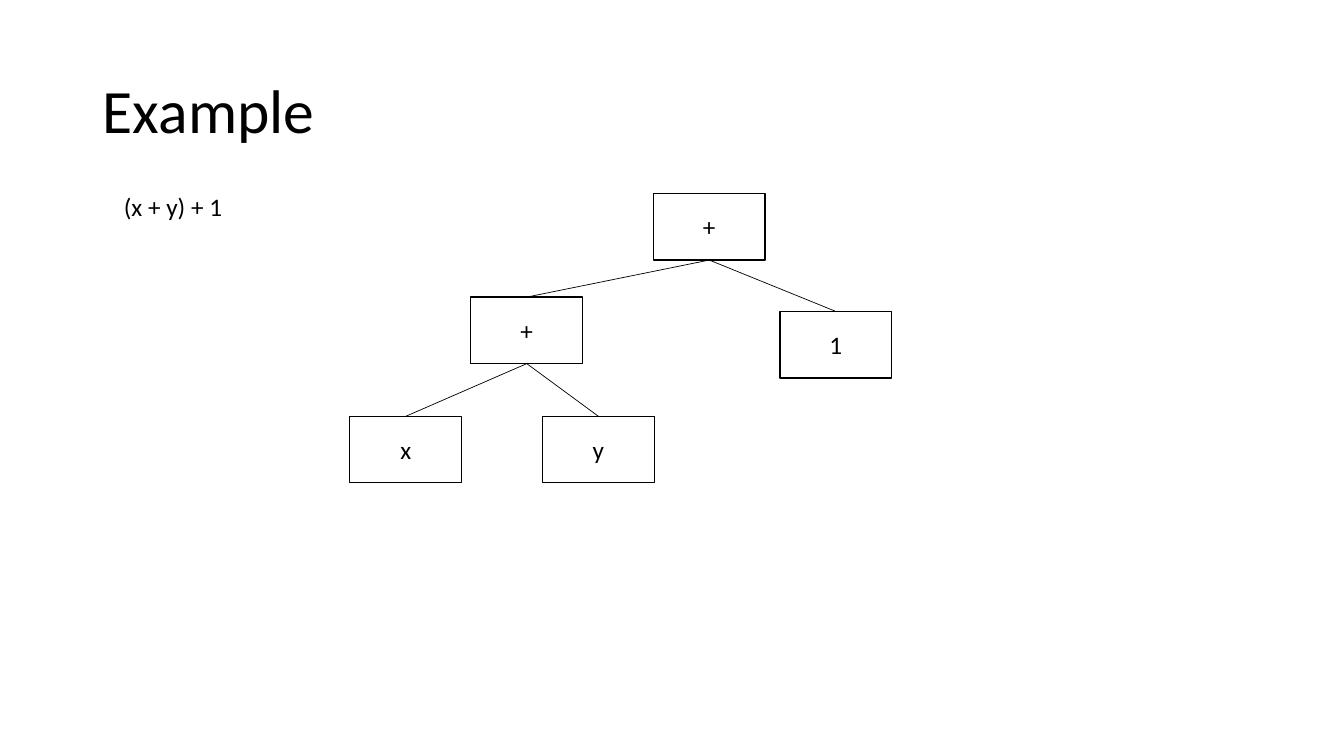
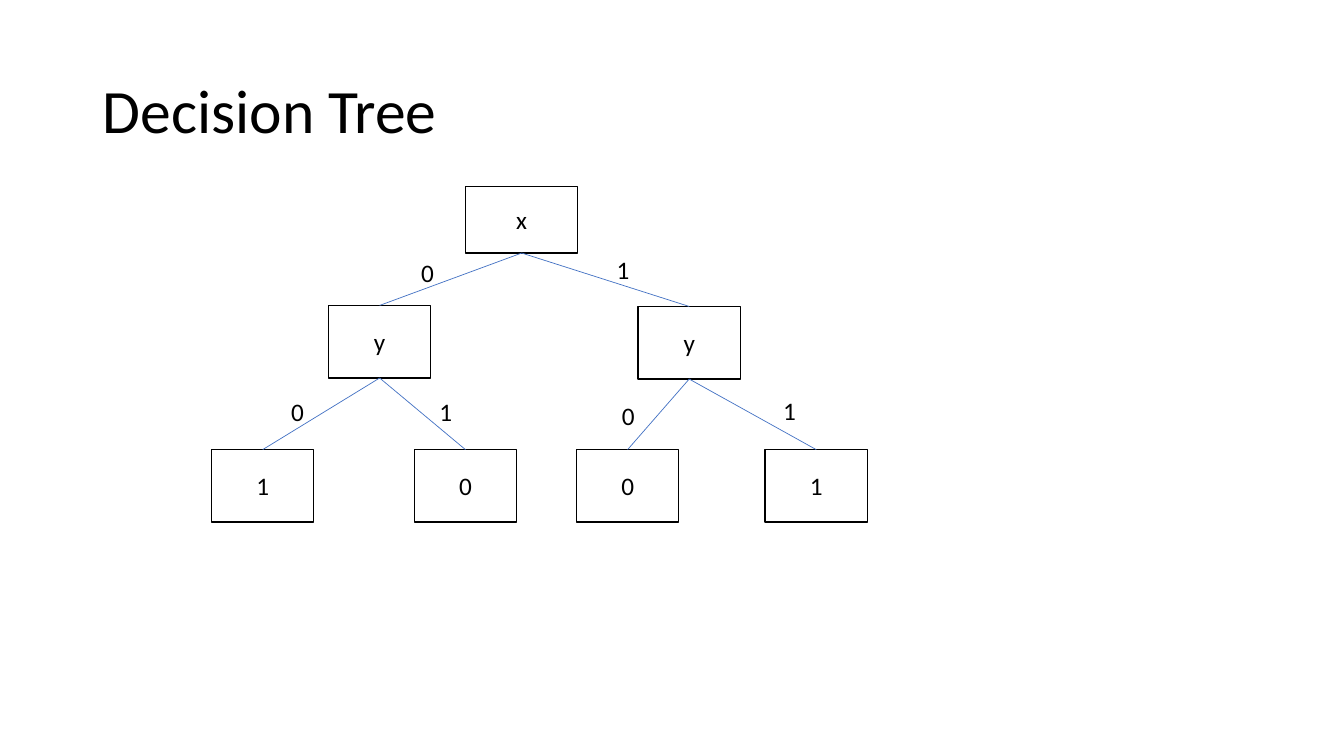
from dataclasses import dataclass

from lxml.etree import SubElement
from pptx import Presentation
from pptx.dml.color import RGBColor
from pptx.enum.shapes import MSO_CONNECTOR, MSO_SHAPE
from pptx.enum.text import MSO_ANCHOR, MSO_AUTO_SIZE, PP_ALIGN
from pptx.oxml.ns import qn
from pptx.util import Inches, Pt

SLIDE_WIDTH, SLIDE_HEIGHT = Inches(13.33), Inches(7.5)
BOTTOM, TOP = 2, 0  # connection sites of a rectangle
TITLE_ONLY_LAYOUT = 5


@dataclass(frozen=True)
class Theme:
    font: str = "Calibri"
    ink: RGBColor = RGBColor(0, 0, 0)
    accent: RGBColor = RGBColor(0x44, 0x72, 0xC4)
    title_size: int = 44
    text_size: int = 18
    outline: float = 1
    branch: float = 0.5


THEME = Theme()


@dataclass(frozen=True)
class Box:
    """A region in percent of the slide's width and height."""
    left: float
    top: float
    width: float
    height: float

    def inside(self, left, top, size):
        """Return a box placed relative to this box's corner."""
        return Box(self.left + left, self.top + top, *size)

    def lengths(self):
        return (
            round(SLIDE_WIDTH * self.left / 100),
            round(SLIDE_HEIGHT * self.top / 100),
            round(SLIDE_WIDTH * self.width / 100),
            round(SLIDE_HEIGHT * self.height / 100),
        )


TITLE_BOX = Box(6.9, 5.33, 86.25, 19.33)
EXPRESSION_BOX = Box(8.48, 24.67, 8.93, 5.33)
EXPRESSION_TREE_BOX = Box(26.03, 25.6, 40.33, 38.27)
DECISION_TREE_BOX = Box(15.75, 24.67, 48.78, 44.4)

WIDE_NODE = (8.33, 8.8)
TALL_NODE = (7.6, 9.6)
LABEL_SIZE = (2.48, 5.33)


@dataclass(frozen=True)
class Node:
    """A tree node; label_at places the text of the branch that leads to it."""
    text: str
    left: float
    top: float
    size: tuple = WIDE_NODE
    children: tuple = ()
    label: str = ""
    label_at: tuple = ()


EXPRESSION_TREE = Node("+", 22.58, 0, children=(
    Node("+", 9, 13.7, children=(
        Node("x", 0, 29.47),
        Node("y", 14.33, 29.47),
    )),
    Node("1", 32, 15.6),
))

DECISION_TREE = Node("x", 18.9, 0, children=(
    Node("y", 8.7, 15.73, TALL_NODE, label="0", label_at=(14.85, 8.67), children=(
        Node("1", 0, 34.8, TALL_NODE, label="0", label_at=(5.18, 27.07)),
        Node("0", 15.08, 34.8, TALL_NODE, label="1", label_at=(16.2, 27.07)),
    )),
    Node("y", 31.73, 15.87, TALL_NODE, label="1", label_at=(29.4, 8.27), children=(
        Node("0", 27.15, 34.8, TALL_NODE, label="0", label_at=(29.78, 27.6)),
        Node("1", 41.18, 34.8, TALL_NODE, label="1", label_at=(41.78, 26.93)),
    )),
))


def write_text(shape, text, size=THEME.text_size, color=THEME.ink, align=PP_ALIGN.LEFT,
               anchor=MSO_ANCHOR.TOP, spacing=1.0, wrap=True, fit=MSO_AUTO_SIZE.NONE):
    frame = shape.text_frame
    frame.word_wrap = wrap
    frame.auto_size = fit
    frame.vertical_anchor = anchor
    paragraph = frame.paragraphs[0]
    paragraph.alignment = align
    paragraph.line_spacing = spacing
    run = paragraph.add_run()
    run.text = text
    run.font.name = THEME.font
    run.font.size = Pt(size)
    run.font.color.rgb = color


def add_titled_slide(presentation, title):
    slide = presentation.slides.add_slide(presentation.slide_layouts[TITLE_ONLY_LAYOUT])
    shape = slide.shapes.title
    shape.left, shape.top, shape.width, shape.height = TITLE_BOX.lengths()
    write_text(shape, title, size=THEME.title_size, anchor=MSO_ANCHOR.MIDDLE, spacing=0.9)
    return slide


def add_label(slide, box, text):
    label = slide.shapes.add_textbox(*box.lengths())
    write_text(label, text, wrap=False, fit=MSO_AUTO_SIZE.SHAPE_TO_FIT_TEXT)


def add_node(slide, box, text):
    shape = slide.shapes.add_shape(MSO_SHAPE.RECTANGLE, *box.lengths())
    shape.shadow.inherit = False
    shape.fill.background()
    shape.line.color.rgb = THEME.ink
    shape.line.width = Pt(THEME.outline)
    write_text(shape, text, align=PP_ALIGN.CENTER, anchor=MSO_ANCHOR.MIDDLE)
    return shape


def add_branch(slide, parent, child, color):
    branch = slide.shapes.add_connector(MSO_CONNECTOR.STRAIGHT, 0, 0, 0, 0)
    branch.begin_connect(parent, BOTTOM)
    branch.end_connect(child, TOP)
    branch.line.color.rgb = color
    branch.line.width = Pt(THEME.branch)
    SubElement(branch.element.spPr, qn("a:effectLst"))


def add_tree(slide, box, node, branch_color):
    """Draw the node and all below it, and return the node's rectangle."""
    shape = add_node(slide, box.inside(node.left, node.top, node.size), node.text)
    for child in node.children:
        child_shape = add_tree(slide, box, child, branch_color)
        add_branch(slide, shape, child_shape, branch_color)
        if child.label:
            add_label(slide, box.inside(*child.label_at, LABEL_SIZE), child.label)
    return shape


def add_example_slide(presentation):
    slide = add_titled_slide(presentation, "Example")
    add_label(slide, EXPRESSION_BOX, "(x + y) + 1")
    add_tree(slide, EXPRESSION_TREE_BOX, EXPRESSION_TREE, THEME.ink)


def add_decision_slide(presentation):
    slide = add_titled_slide(presentation, "Decision Tree")
    add_tree(slide, DECISION_TREE_BOX, DECISION_TREE, THEME.accent)


def main():
    presentation = Presentation()
    presentation.slide_width = SLIDE_WIDTH
    presentation.slide_height = SLIDE_HEIGHT
    add_example_slide(presentation)
    add_decision_slide(presentation)
    presentation.save("out.pptx")


if __name__ == "__main__":
    main()
